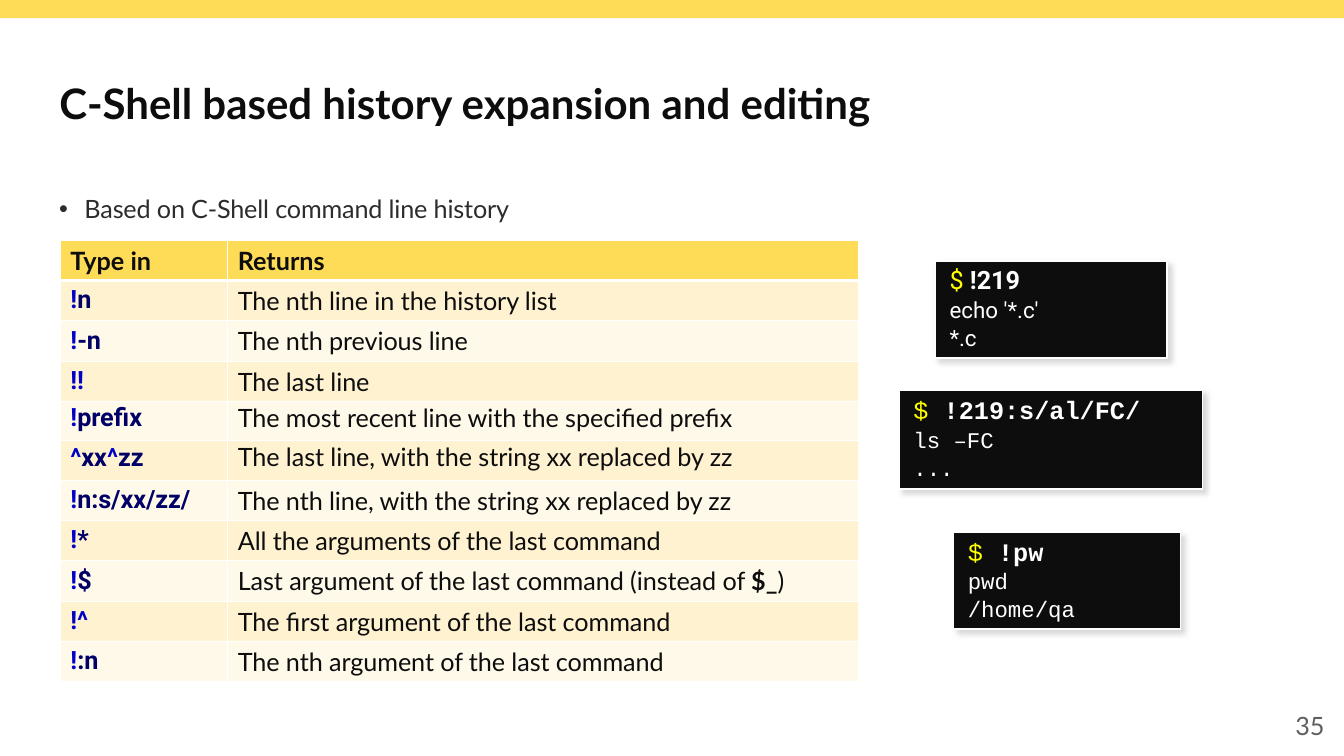
import itertools

import lxml.etree
import pptx
import pptx.dml.color
import pptx.enum.shapes
import pptx.enum.text
import pptx.oxml
import pptx.oxml.ns
import pptx.util

Cm, Pt = pptx.util.Cm, pptx.util.Pt
ALIGN, ANCHOR = pptx.enum.text.PP_ALIGN, pptx.enum.text.MSO_ANCHOR
RECT = pptx.enum.shapes.MSO_SHAPE.RECTANGLE
qn = pptx.oxml.ns.qn

YELLOW, WHITE, INK = "FFDC57", "FFFFFF", "0D0D0D"
BANDS = ["FFF2D1", "FFF9EA"]
KEYS = {True: "0000C7", False: "000066"}

# Command, meaning, exact line height in points (None for single)
ROWS = [
    ("!n", "The nth line in the history list", None),
    ("!-n", "The nth previous line", None),
    ("!!", "The last line", None),
    ("!prefix", "The most recent line with the specified prefix", 18.9),
    ("^xx^zz", "The last line, with the string xx replaced by zz", 18.9),
    ("!n:s/xx/zz/", "The nth line, with the string xx replaced by zz", None),
    ("!*", "All the arguments of the last command", None),
    ("!$", "Last argument of the last command (instead of $_)", None),
    ("!^", "The first argument of the last command", None),
    ("!:n", "The nth argument of the last command", None),
]

# Place in cm, font, height of the prompt line, command, output
SHELLS = [
    ((23.57, 6.58, 5.84, 2.44), "Roboto", 17, "!219", ["echo '*.c'", "*.c"]),
    ((22.66, 9.83, 7.65, 2.49), "Courier New", 17.9, "!219:s/al/FC/",
     ["ls –FC", "..."]),
    ((24.03, 13.41, 5.72, 2.44), "Courier New", 17.3, "!pw",
     ["pwd", "/home/qa"]),
]


def color(value):
    return pptx.dml.color.RGBColor.from_string(value)


def paint(item, value):
    item.fill.solid()
    item.fill.fore_color.rgb = color(value)


def write(par, text, size=18, font="Lato", ink=INK, bold=False, track=0):
    run = par.add_run()
    run.text = text
    run.font.size = Pt(size)
    run.font.name = font
    run.font.bold = bold
    run.font.color.rgb = color(ink)
    if track:
        run.font._element.set("spc", str(track))


def place(shape, left, top, width, height):
    shape.left, shape.top = Cm(left), Cm(top)
    shape.width, shape.height = Cm(width), Cm(height)


def label(slide, box, text, **form):
    frame = slide.shapes.add_textbox(*map(Cm, box)).text_frame
    frame.word_wrap = True
    write(frame.paragraphs[0], text, **form)
    return frame


def bullet(par):
    props = par._p.get_or_add_pPr()
    props.set("marL", str(Cm(0.64)))
    props.set("indent", str(-Cm(0.64)))
    lxml.etree.SubElement(props, qn("a:buFont"), typeface="Arial")
    lxml.etree.SubElement(props, qn("a:buChar"), char="•")
    par.line_spacing = 0.9


def shade(shape):
    shape.shadow.inherit = False
    effects = shape._element.spPr.find(qn("a:effectLst"))
    drop = lxml.etree.SubElement(
        effects, qn("a:outerShdw"), blurRad=str(Pt(4)), dist=str(Pt(4)),
        dir="2700000", algn="tl", rotWithShape="0")
    lxml.etree.SubElement(drop, qn("a:srgbClr"), val="DADADA")


def shell(slide, box, font, height, command, output):
    shape = slide.shapes.add_shape(RECT, *map(Cm, box))
    paint(shape, INK)
    shape.line.color.rgb = color(WHITE)
    shape.line.width = Pt(1)
    shade(shape)
    frame = shape.text_frame
    frame.word_wrap = True
    frame.vertical_anchor = ANCHOR.TOP
    frame.margin_left, frame.margin_right = Cm(0.36), Cm(0.25)
    frame.margin_top, frame.margin_bottom = Cm(0.25), Cm(0.15)
    # Prompt line
    par = frame.paragraphs[0]
    par.alignment = ALIGN.LEFT
    par.line_spacing = Pt(height)
    write(par, "$ ", font=font, ink="FFFF00")
    write(par, command, font=font, ink=WHITE, bold=True)
    # Output lines
    for line, gap in zip(output, (0.8, 0.6)):
        par = frame.add_paragraph()
        par.alignment = ALIGN.LEFT
        par.space_before = Pt(gap)
        write(par, line, size=16, font=font, ink=WHITE)


def style(cell, fill, base=1):
    props = cell._tc.get_or_add_tcPr()
    for side, width in zip("LRTB", (1, 1, 1, base)):
        line = lxml.etree.SubElement(props, qn("a:ln" + side), w=str(Pt(width)))
        solid = lxml.etree.SubElement(line, qn("a:solidFill"))
        lxml.etree.SubElement(solid, qn("a:srgbClr"), val=WHITE)
    paint(cell, fill)
    return cell.text_frame.paragraphs[0]


def history(slide):
    shape = slide.shapes.add_table(
        len(ROWS) + 1, 2, Cm(1.52), Cm(6.05), Cm(20.12), Cm(10.87))
    table = shape.table
    table.horz_banding = False
    for column, width in zip(table.columns, (4.22, 15.9)):
        column.width = Cm(width)
    for row in table.rows:
        row.height = Cm(0.99)
    # Header
    for cell, text in zip(table.rows[0].cells, ("Type in", "Returns")):
        write(style(cell, YELLOW, base=3), text, bold=True)
    # Commands: history marks are brighter than the rest
    for num, (command, meaning, height) in enumerate(ROWS):
        left, right = [style(table.cell(num + 1, col), BANDS[num % 2])
                       for col in range(2)]
        if height:
            left.line_spacing = right.line_spacing = Pt(height)
        for mark, part in itertools.groupby(command, lambda c: c in "!^"):
            write(left, "".join(part), font="Roboto", ink=KEYS[mark],
                  bold=True, track=-5)
        for part in meaning.partition("$_"):
            if part:
                write(right, part, bold=part == "$_", track=-5)


def main():
    deck = pptx.Presentation()
    deck.slide_width, deck.slide_height = Cm(33.87), Cm(19.05)
    slide = deck.slides.add_slide(deck.slide_layouts[5])

    # Top bar
    bar = slide.shapes.add_shape(RECT, 0, 0, deck.slide_width, Cm(0.46))
    paint(bar, YELLOW)
    bar.line.fill.background()
    bar.shadow.inherit = False

    # Title
    title = slide.shapes.title
    place(title, 1.24, 1.4, 31.4, 2.39)
    title.text_frame.vertical_anchor = ANCHOR.MIDDLE
    head = title.text_frame.paragraphs[0]
    head.alignment = ALIGN.LEFT
    write(head, "C-Shell based history expansion and editing",
          size=30, bold=True)

    # Lead line and page number
    lead = label(slide, (1.24, 4.83, 31.4, 1),
                 "Based on C-Shell command line history",
                 ink="2D2C2C", track=-10)
    bullet(lead.paragraphs[0])
    page = label(slide, (26.01, 17.78, 7.62, 1.02), "35", ink="5F5F5F")
    page.vertical_anchor = ANCHOR.MIDDLE
    page.paragraphs[0].alignment = ALIGN.RIGHT

    # Table and shell samples
    history(slide)
    for sample in SHELLS:
        shell(slide, *sample)

    deck.save("out.pptx")


if __name__ == "__main__":
    main()
